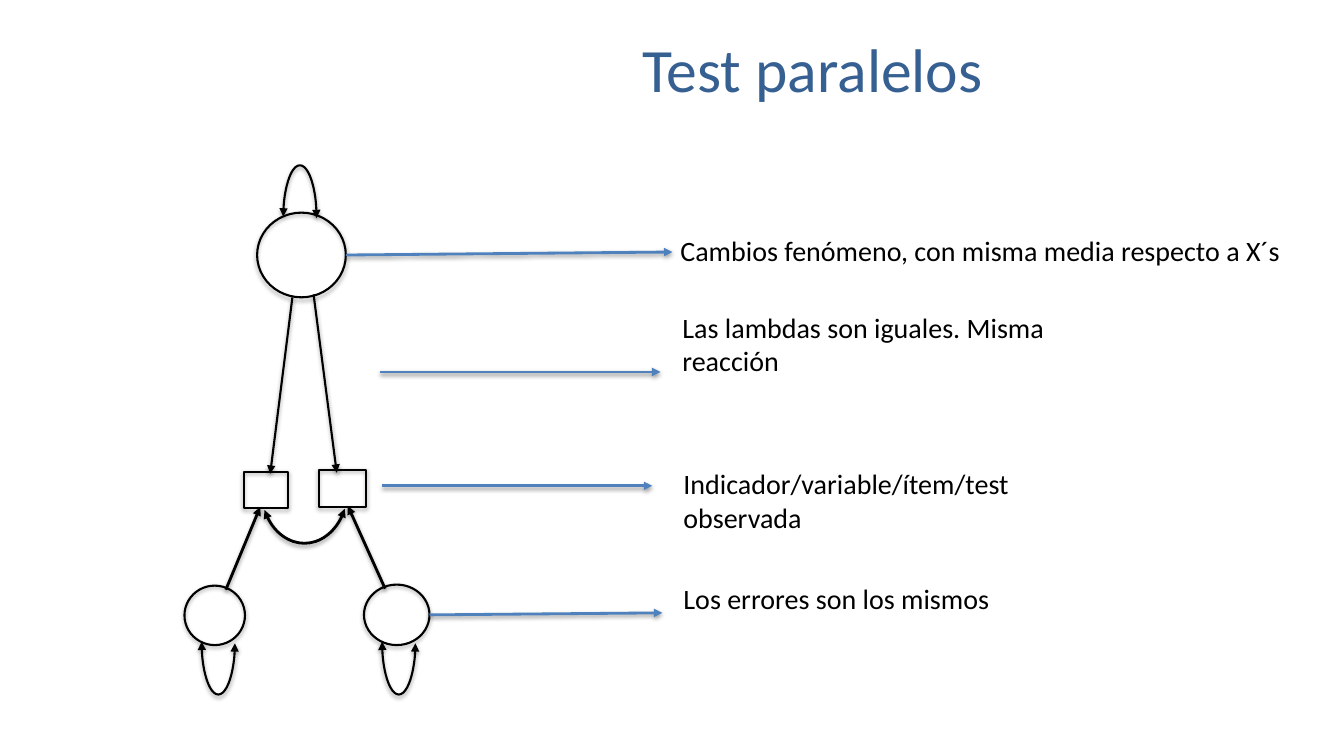
from typing import NamedTuple

from lxml import etree
from pptx import Presentation
from pptx import util as u
from pptx.dml.color import RGBColor
from pptx.enum import shapes, text
from pptx.oxml import ns

BLACK = RGBColor(0x00, 0x00, 0x00)
BLUE = RGBColor(0x4F, 0x81, 0xBD)
NAVY = RGBColor(0x37, 0x60, 0x92)
FONT = "Calibri"
CELL = 0.1  # inches per grid column and row
THIN, THICK = 1.5, 2
OVAL, RECT, ARC = (shapes.MSO_SHAPE.OVAL, shapes.MSO_SHAPE.RECTANGLE,
                   shapes.MSO_SHAPE.ARC)


class Node(NamedTuple):
    kind: shapes.MSO_SHAPE
    col: float
    row: float
    cols: float
    rows: float


class Bend(NamedTuple):
    """A double-headed arc; start and end are its adjustments."""
    col: float
    row: float
    cols: float
    rows: float
    start: float
    end: float
    turn: float = 0
    width: float = THIN


class Arrow(NamedTuple):
    col: float
    row: float
    to_col: float
    to_row: float
    color: RGBColor = BLACK
    width: float = THICK


class Note(NamedTuple):
    words: str
    col: float
    row: float
    cols: float
    rows: float
    wrap: bool = True


def loop(col: float, row: float, turn: float = 0) -> Bend:
    return Bend(col, row, 3.3, 10.4, 110.451, 0.833, turn)


NODES = [
    Node(OVAL, 25.5, 21.1, 8.8, 8.4),
    Node(RECT, 24.2, 46.8, 4.4, 3.6),
    Node(RECT, 31.6, 46.6, 4.7, 3.7),
    Node(OVAL, 18.3, 58.1, 6, 5.9),
    Node(OVAL, 36.1, 58, 6.5, 6),
]
BENDS = [
    Bend(25.9, 43.1, 8.6, 10.8, 15.797, 91.221, width=THICK),
    loop(28.1, 16.4),
    loop(20, 58.5, 180),
    loop(37.9, 58.5, 180),
]
ARROWS = [
    Arrow(29, 29.5, 26.8, 47, width=THIN),
    Arrow(31.1, 29.2, 33.4, 46.9, width=THIN),
    Arrow(22.4, 58.5, 25.8, 50.3),
    Arrow(38.2, 58.4, 34.5, 50.2),
    Arrow(34.3, 25.3, 66.7, 25, BLUE),
    Arrow(37.7, 36.9, 65.5, 36.9, BLUE),
    Arrow(37.9, 48.2, 64.7, 48.2, BLUE),
    Arrow(42.6, 61, 65.7, 60.8, BLUE),
]
NOTES = [
    Note("Cambios fenómeno, con misma media respecto a X´s",
         66.5, 22.7, 62.3, 4.4, False),
    Note("Las lambdas son iguales. Misma reacción", 66.7, 30.3, 44, 7.7),
    Note("Indicador/variable/ítem/test observada", 66.8, 45.8, 46.6, 4.4),
    Note("Los errores son los mismos", 66.8, 57.2, 41.5, 4.4),
]


def grid(*cells: float) -> list[u.Length]:
    return [u.Inches(n * CELL) for n in cells]


def shade(shape, alpha: int, drop: float) -> None:
    """Give the shape a soft shadow that falls straight down."""
    props = shape._element.spPr
    effects = etree.SubElement(props, ns.qn("a:effectLst"))
    shadow = etree.SubElement(
        effects, ns.qn("a:outerShdw"), blurRad=str(u.Pt(3.1)),
        dist=str(u.Pt(drop)), dir="5400000", rotWithShape="0")
    color = etree.SubElement(shadow, ns.qn("a:srgbClr"), val="000000")
    etree.SubElement(color, ns.qn("a:alpha"), val=str(alpha * 1000))


def ink(shape, color: RGBColor, width: float, *ends: str) -> None:
    """Set the line, with a triangle at each named end."""
    shape.line.color.rgb = color
    shape.line.width = u.Pt(width)
    for end in ends:
        etree.SubElement(shape.line._get_or_add_ln(), ns.qn(f"a:{end}"),
                         type="triangle")


def draw_node(slide, node: Node) -> None:
    shape = slide.shapes.add_shape(node.kind, *grid(*node[1:]))
    shape.fill.background()
    ink(shape, BLACK, THIN)
    shade(shape, 35, 1.8)


def draw_bend(slide, bend: Bend) -> None:
    shape = slide.shapes.add_shape(ARC, *grid(*bend[:4]))
    shape.adjustments[0] = bend.start
    shape.adjustments[1] = bend.end
    shape.rotation = bend.turn
    shape.fill.background()
    ink(shape, BLACK, bend.width, "headEnd", "tailEnd")
    shade(shape, 38, 1.6)


def draw_arrow(slide, arrow: Arrow) -> None:
    line = slide.shapes.add_connector(
        shapes.MSO_CONNECTOR.STRAIGHT, *grid(*arrow[:4]))
    ink(line, arrow.color, arrow.width, "tailEnd")
    shade(line, 38, 1.6)


def write(slide, note: Note, *, size: float = 20, color: RGBColor = BLACK,
          align=text.PP_ALIGN.LEFT, anchor=text.MSO_ANCHOR.TOP) -> None:
    frame = slide.shapes.add_textbox(*grid(*note[1:5])).text_frame
    frame.word_wrap = note.wrap
    frame.vertical_anchor = anchor
    para = frame.paragraphs[0]
    para.text = note.words
    para.alignment = align
    para.font.name = FONT
    para.font.size = u.Pt(size)
    para.font.color.rgb = color


def main() -> None:
    deck = Presentation()
    deck.slide_width, deck.slide_height = u.Inches(13.33), u.Inches(7.5)
    slide = deck.slides.add_slide(deck.slide_layouts[6])
    write(slide, Note("Test paralelos", 32.4, 0.3, 96.4, 12.8), size=44,
          color=NAVY, align=text.PP_ALIGN.CENTER,
          anchor=text.MSO_ANCHOR.MIDDLE)
    for node in NODES:
        draw_node(slide, node)
    for bend in BENDS:
        draw_bend(slide, bend)
    for arrow in ARROWS:
        draw_arrow(slide, arrow)
    for note in NOTES:
        write(slide, note)
    deck.save("out.pptx")


if __name__ == "__main__":
    main()
